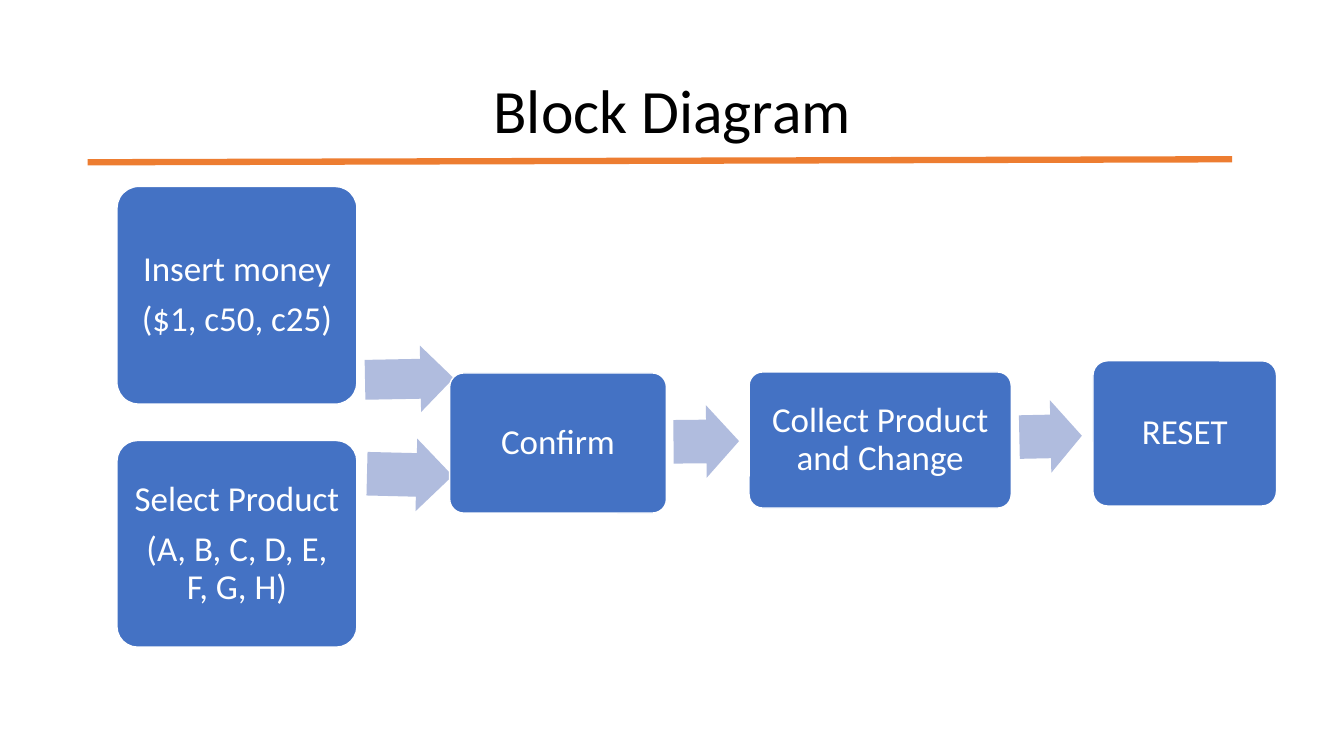
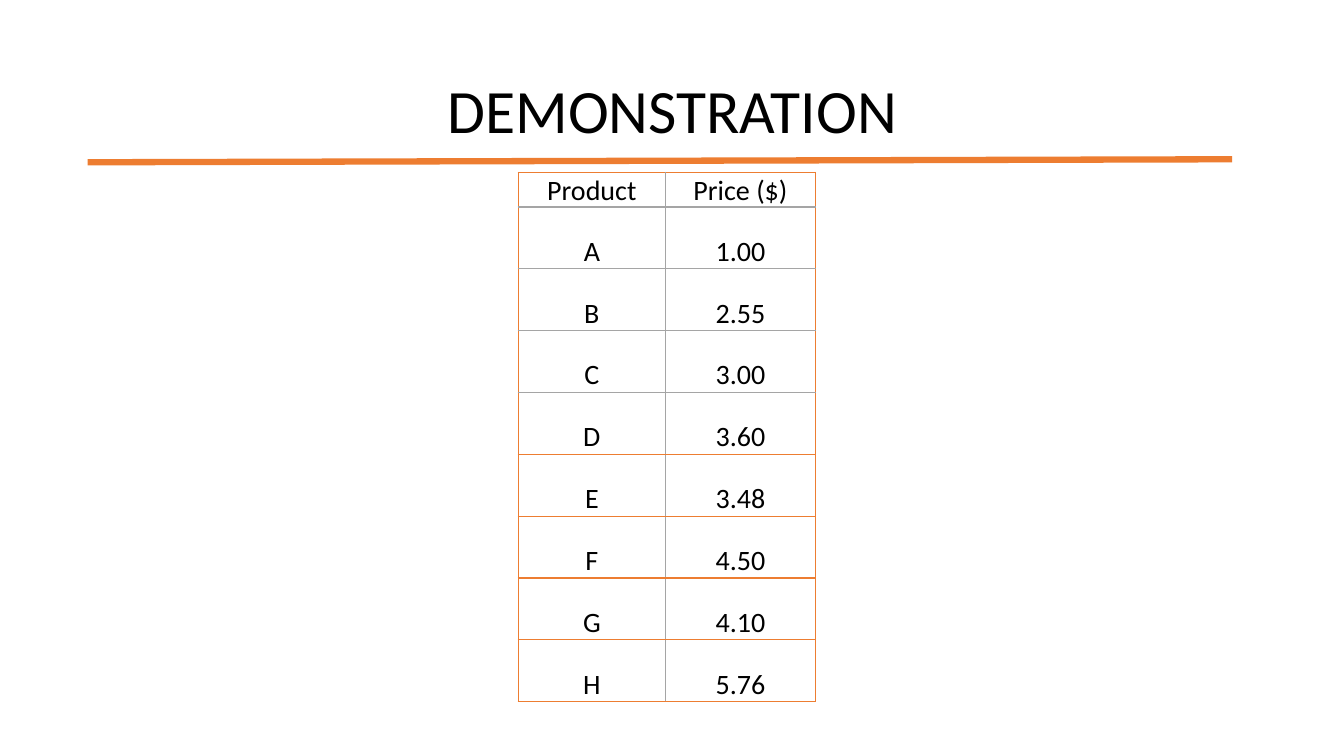
import pptx
import pptx.util
import pptx.dml.color
import pptx.enum.shapes
import pptx.enum.text
import pptx.oxml
import pptx.oxml.ns
import lxml.etree

Inches, Pt = pptx.util.Inches, pptx.util.Pt
SHAPE = pptx.enum.shapes.MSO_SHAPE
ANCHOR = pptx.enum.text.MSO_ANCHOR
CENTER = pptx.enum.text.PP_ALIGN.CENTER

# Shared style
COLORS = {"accent": "ED7D31", "box": "4472C4", "arrow": "B0BCDE",
          "grid": "A5A5A5", "text": "000000", "white": "FFFFFF"}
FONT = "Calibri"
TITLE_BOX = (0.92, 0.4, 11.5, 1.45)
RULE = (0.87, 1.61, 12.22, 1.58)

# Flow: box and text, then arrow box and rotation
STEPS = [
    ((1.16, 1.85, 2.38, 2.16), ["Insert money", "($1, c50, c25)"]),
    ((1.16, 4.37, 2.38, 2.05), ["Select Product", "(A, B, C, D, E, F, G, H)"]),
    ((4.46, 3.7, 2.15, 1.39), ["Confirm"]),
    ((7.43, 3.69, 2.6, 1.35), ["Collect Product and Change"]),
    ((10.84, 3.58, 1.82, 1.44), ["RESET"]),
]
ARROWS = [
    ((3.62, 3.43, 0.88, 0.66), -1.1),
    ((3.64, 4.35, 0.85, 0.72), 1.4),
    ((6.68, 4.02, 0.65, 0.72), -0.6),
    ((10.11, 3.97, 0.62, 0.72), -1.2),
]
PRICES = [("Product", "Price ($)"), ("A", "1.00"), ("B", "2.55"),
          ("C", "3.00"), ("D", "3.60"), ("E", "3.48"), ("F", "4.50"),
          ("G", "4.10"), ("H", "5.76")]
LAST_GRAY_RULE = 3


def rgb(name):
    return pptx.dml.color.RGBColor.from_string(COLORS[name])


def emu(box):
    return [Inches(v) for v in box]


def set_attrs(obj, values):
    for name, value in values.items():
        setattr(obj, name, value)


def write(tf, lines, size, color, para):
    """Fill a text frame with centred paragraphs."""
    for i, line in enumerate(lines):
        p = tf.add_paragraph() if i else tf.paragraphs[0]
        set_attrs(p, {"alignment": CENTER, **para})
        r = p.add_run()
        r.text = line
        set_attrs(r.font, {"name": FONT, "size": Pt(size)})
        r.font.color.rgb = rgb(color)


def add_base(prs, title):
    """Add a slide with the shared title and rule."""
    s = prs.slides.add_slide(prs.slide_layouts[6])
    tf = s.shapes.add_textbox(*emu(TITLE_BOX)).text_frame
    set_attrs(tf, {"word_wrap": True, "vertical_anchor": ANCHOR.MIDDLE})
    write(tf, [title], 44, "text", {"line_spacing": 0.9})
    rule = s.shapes.add_connector(
        pptx.enum.shapes.MSO_CONNECTOR.STRAIGHT, *emu(RULE))
    rule.line.color.rgb = rgb("accent")
    rule.line.width = Pt(4.5)
    lxml.etree.SubElement(rule.element.spPr,
                          pptx.oxml.ns.qn("a:effectLst"))
    return s


def add_filled(s, kind, box, color, adjustments):
    sp = s.shapes.add_shape(kind, *emu(box))
    sp.shadow.inherit = False
    sp.fill.solid()
    sp.fill.fore_color.rgb = rgb(color)
    for i, value in enumerate(adjustments):
        sp.adjustments[i] = value
    return sp


def add_step(s, box, lines):
    sp = add_filled(s, SHAPE.ROUNDED_RECTANGLE, box, "box", [0.1])
    sp.line.color.rgb = rgb("white")
    sp.line.width = Pt(1)
    tf = sp.text_frame
    set_attrs(tf, {"word_wrap": True, "vertical_anchor": ANCHOR.MIDDLE})
    set_attrs(tf, {"margin_" + side: Inches(0.1)
                   for side in ("left", "right", "top", "bottom")})
    write(tf, lines, 25, "white", {"line_spacing": 0.9, "space_after": Pt(9)})


def add_arrow(s, box, rotation):
    sp = add_filled(s, SHAPE.RIGHT_ARROW, box, "arrow", [0.6, 0.5])
    sp.line.fill.background()
    sp.rotation = rotation


def set_borders(cell, sides):
    """Draw 1 pt cell borders, ahead of the cell's fill."""
    tc_pr = cell._tc.get_or_add_tcPr()
    for i, (side, color) in enumerate(sides.items()):
        tc_pr.insert(i, pptx.oxml.parse_xml(
            f'<a:{side} {pptx.oxml.ns.nsdecls("a")} w="12700"><a:solidFill>'
            f'<a:srgbClr val="{COLORS[color]}"/></a:solidFill></a:{side}>'))


def add_price_table(s, box, rows, col_widths, header_height):
    table = s.shapes.add_table(len(rows), len(col_widths), *emu(box)).table
    set_attrs(table, {"first_row": False, "horz_banding": False})
    for col, width in zip(table.columns, col_widths):
        col.width = Inches(width)
    body_height = (box[3] - header_height) / (len(rows) - 1)

    def rule_color(i):
        return "grid" if 0 <= i <= LAST_GRAY_RULE else "accent"

    for i, values in enumerate(rows):
        table.rows[i].height = Inches(body_height if i else header_height)
        for j, value in enumerate(values):
            cell = table.cell(i, j)
            cell.fill.background()
            set_attrs(cell, {
                "vertical_anchor": ANCHOR.BOTTOM, "margin_left": Inches(0.01),
                "margin_right": Inches(0.01), "margin_top": Inches(0.01),
                "margin_bottom": 0})
            write(cell.text_frame, [value], 20, "text", {})
            set_borders(cell, {
                "lnL": "grid" if j else "accent",
                "lnR": "grid" if j < len(values) - 1 else "accent",
                "lnT": rule_color(i - 1),
                "lnB": rule_color(i)})


def block_diagram(prs):
    s = add_base(prs, "Block Diagram")
    for box, rotation in ARROWS:
        add_arrow(s, box, rotation)
    for box, lines in STEPS:
        add_step(s, box, lines)


def demonstration(prs):
    s = add_base(prs, "DEMONSTRATION")
    add_price_table(s, (5.14, 1.71, 2.95, 5.25), PRICES, (1.46, 1.49), 0.34)


def main():
    prs = pptx.Presentation()
    set_attrs(prs, {"slide_width": Inches(13.33), "slide_height": Inches(7.5)})
    block_diagram(prs)
    demonstration(prs)
    prs.save("out.pptx")


if __name__ == "__main__":
    main()
